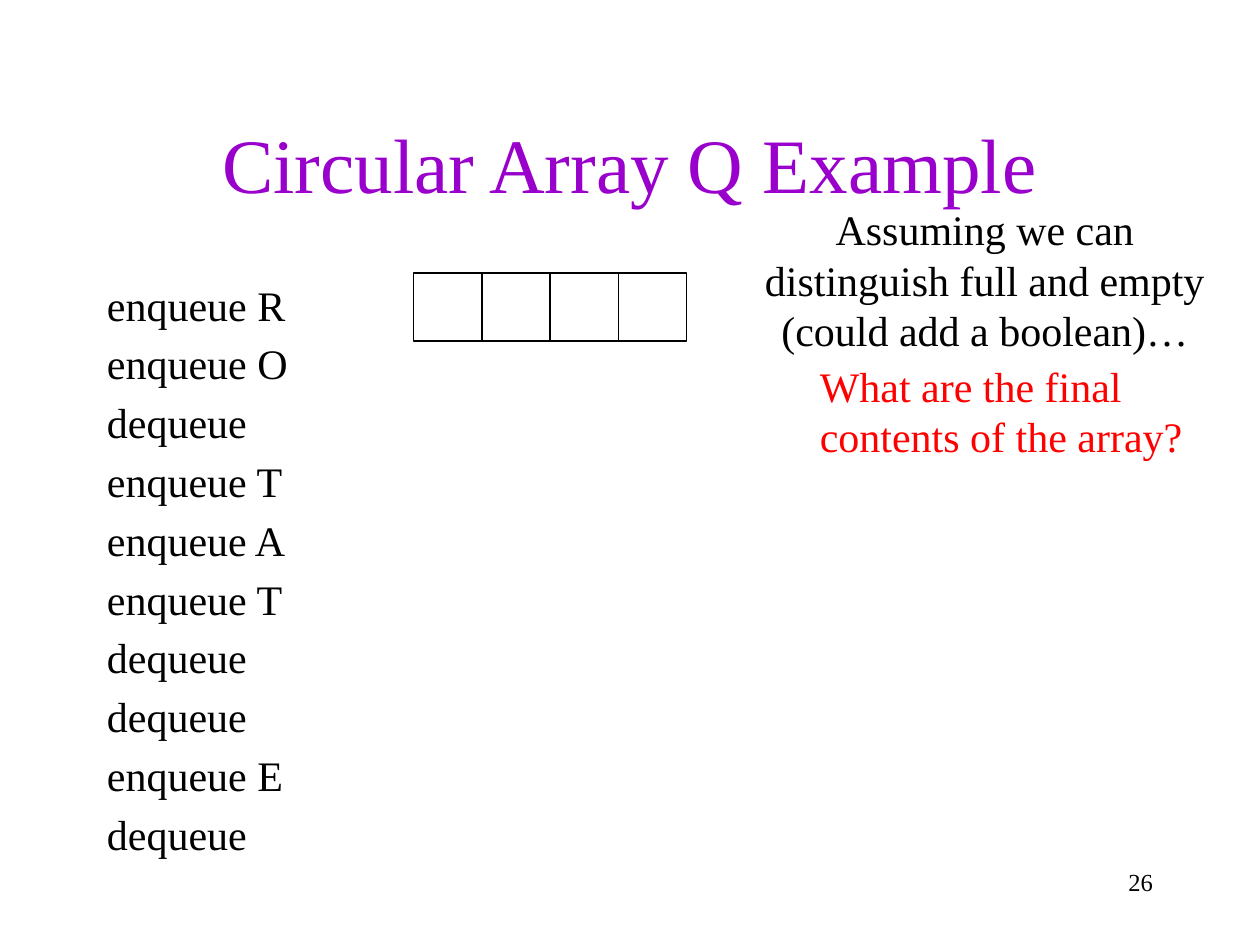
from pptx import Presentation, util as u
from pptx.dml.color import RGBColor
from pptx.enum import shapes, text

GRID = 12  # grid units per inch
COLUMNS, ROWS = 10 * GRID, 7.5 * GRID


def color(hex_value):
    return RGBColor.from_string(hex_value)


def grid(value):
    return u.Inches(value / GRID)


class SlideBuilder:
    font = "Times New Roman"
    ink = "000000"

    def __init__(self, page):
        self.page = page

    def fill_text(self, box, paragraphs, size=24, ink=None, wrap=True, anchor="TOP", **para_format):
        frame = box.text_frame
        frame.word_wrap = wrap
        frame.auto_size = text.MSO_AUTO_SIZE.NONE if wrap else text.MSO_AUTO_SIZE.SHAPE_TO_FIT_TEXT
        frame.vertical_anchor = text.MSO_ANCHOR[anchor]
        for index, words in enumerate(paragraphs):
            para = frame.add_paragraph() if index else frame.paragraphs[0]
            para.text = words
            for name, value in para_format.items():
                setattr(para, name, value)
            for span in para.runs:
                for name, value in {"name": self.font, "size": u.Pt(size)}.items():
                    setattr(span.font, name, value)
                span.font.color.rgb = color(ink or self.ink)

    def title(self, place, words, **style):
        box = self.page.shapes.title
        box.left, box.top, box.width, box.height = map(grid, place)
        self.fill_text(box, [words], anchor="MIDDLE", **style)

    def text_box(self, place, paragraphs, **style):
        box = self.page.shapes.add_textbox(*map(grid, place))
        self.fill_text(box, paragraphs, **style)

    def cell_row(self, left, top, side, count):
        group = self.page.shapes.add_group_shape()
        for index in range(count):
            place = (left + index * side, top, side, side)
            cell = group.shapes.add_shape(shapes.MSO_SHAPE.RECTANGLE, *map(grid, place))
            cell.shadow.inherit = False
            cell.fill.background()
            cell.line.color.rgb = color(self.ink)
            cell.line.width = u.Pt(0.75)


deck = Presentation()
deck.slide_width, deck.slide_height = grid(COLUMNS), grid(ROWS)
slide = SlideBuilder(deck.slides.add_slide(deck.slide_layouts[5]))
align = text.PP_ALIGN

# Title
slide.title((9, 8, 102, 15), "Circular Array Q Example", size=44, ink="9900CC",
            alignment=align.CENTER)

# Queue operations
operations = ["enqueue R", "enqueue O", "dequeue", "enqueue T", "enqueue A",
              "enqueue T", "dequeue", "dequeue", "enqueue E", "dequeue"]
slide.text_box((9, 26, 50, 54), operations, space_before=u.Pt(4.8))

# Empty array
slide.cell_row(left=39.4, top=26, side=6.5, count=4)

# Page number
slide.text_box((86, 82, 25, 6), ["26"], size=14, alignment=align.RIGHT)

# Question and assumption
slide.text_box((76.9, 33.7, 37.2, 10.9), ["What are the final \vcontents of the array?"],
               ink="FF0000", wrap=False)
slide.text_box((71.5, 18.8, 44.6, 15.7),
               ["Assuming we can\vdistinguish full and empty\v(could add a boolean)…"],
               wrap=False, alignment=align.CENTER)

deck.save("out.pptx")
